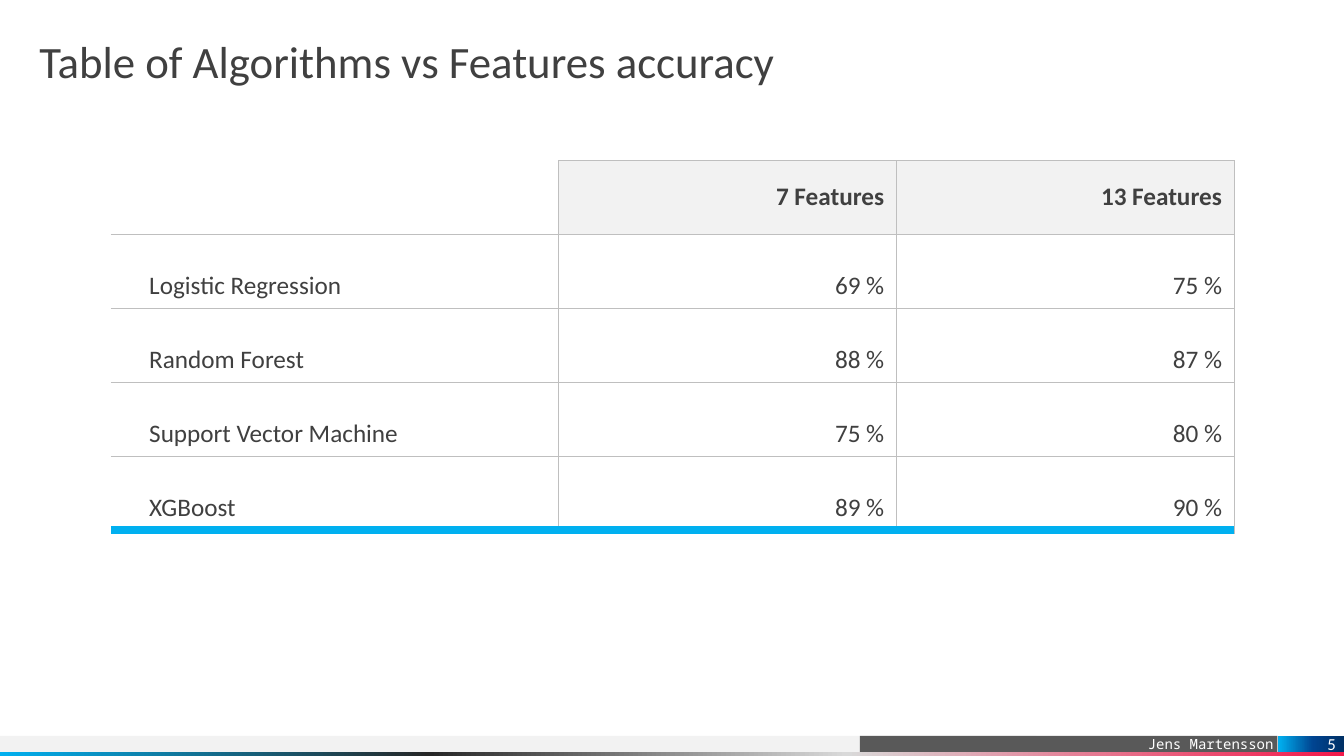
from dataclasses import dataclass

import pptx
import pptx.dml.color
import pptx.enum.shapes
import pptx.enum.text
import pptx.oxml
import pptx.oxml.ns
import pptx.util

EMU_PER_PX = 9144
ALIGN = pptx.enum.text.PP_ALIGN
ANCHOR = pptx.enum.text.MSO_ANCHOR

WHITE = "FFFFFF"
INK = "404040"
PALE = "F2F2F2"
GRID = "BFBFBF"
SKY = "00B0F0"
BODY_FONT = "Calibri"
NO_GRID_STYLE = "{2D5ABB26-0587-4C30-8999-92F81FD0307C}"


@dataclass(frozen=True)
class Bar:
    left: int
    top: int
    width: int
    height: int
    stops: tuple[tuple[int, str], ...]
    text: str = ""
    font: str = BODY_FONT
    size: int = 12
    anchor: ANCHOR = ANCHOR.MIDDLE
    insets: tuple[int, int, int, int] = (0, 0, 0, 0)


@dataclass(frozen=True)
class Accuracy:
    algorithm: str
    seven: int
    thirteen: int


BARS = (
    Bar(-1, 730, 1029, 16, ((0, PALE),)),
    Bar(853, 730, 414, 16, ((0, "595959"),), "Jens Martensson", "Noto Sans Mono", 10,
        ANCHOR.BOTTOM, (10, 0, 4, 0)),
    Bar(-1, 746, 1334, 4, ((0, "F2194A"), (37, "D9D9D9"), (68, "262626"), (100, SKY))),
    Bar(1268, 730, 65, 16, ((0, "003065"), (47, "004490"), (100, SKY)), "5",
        insets=(0, 0, 8, 0)),
)
HEADINGS = ("", "7 Features", "13 Features")
RESULTS = (
    Accuracy("Logistic Regression", 69, 75),
    Accuracy("Random Forest", 88, 87),
    Accuracy("Support Vector Machine", 75, 80),
    Accuracy("XGBoost", 89, 90),
)
COLUMN_WIDTHS = (444, 335, 335)
TABLE_HEIGHT = 367


def px(length: int) -> pptx.util.Emu:
    return pptx.util.Emu(length * EMU_PER_PX)


def colour(value: str) -> pptx.dml.color.RGBColor:
    return pptx.dml.color.RGBColor.from_string(value)


def style_paragraph(paragraph, font: str, size: int, ink: str, align: ALIGN,
                    bold: bool = False) -> None:
    paragraph.alignment = align
    paragraph.font.name = font
    paragraph.font.size = pptx.util.Pt(size)
    paragraph.font.bold = bold
    paragraph.font.color.rgb = colour(ink)


def set_insets(holder, insets: tuple[int, int, int, int]) -> None:
    holder.margin_left, holder.margin_top, holder.margin_right, holder.margin_bottom = map(
        px, insets)


def fill_bar(shape, stops: tuple[tuple[int, str], ...]) -> None:
    if len(stops) == 1:
        shape.fill.solid()
        shape.fill.fore_color.rgb = colour(stops[0][1])
        return
    shape.fill.gradient()
    shape.fill.gradient_angle = 180
    stop_list = shape.element.spPr.find(".//" + pptx.oxml.ns.qn("a:gsLst"))
    for stop in list(stop_list):
        stop_list.remove(stop)
    for percent, value in stops:
        stop_list.append(pptx.oxml.parse_xml(
            f'<a:gs {pptx.oxml.ns.nsdecls("a")} pos="{percent * 1000}">'
            f'<a:srgbClr val="{value}"/></a:gs>'))


def add_bar(slide, bar: Bar) -> None:
    shape = slide.shapes.add_shape(
        pptx.enum.shapes.MSO_SHAPE.RECTANGLE,
        px(bar.left), px(bar.top), px(bar.width), px(bar.height))
    shape.shadow.inherit = False
    shape.line.fill.background()
    fill_bar(shape, bar.stops)
    if bar.text:
        frame = shape.text_frame
        frame.text = bar.text
        frame.vertical_anchor = bar.anchor
        set_insets(frame, bar.insets)
        style_paragraph(frame.paragraphs[0], bar.font, bar.size, WHITE, ALIGN.RIGHT)


def set_borders(cell, borders: dict[str, tuple[str, float]]) -> None:
    properties = cell._tc.get_or_add_tcPr()
    for index, (side, (value, points)) in enumerate(borders.items()):
        properties.insert(index, pptx.oxml.parse_xml(
            f'<a:ln{side} {pptx.oxml.ns.nsdecls("a")} w="{pptx.util.Pt(points)}">'
            f'<a:solidFill><a:srgbClr val="{value}"/></a:solidFill></a:ln{side}>'))


def add_accuracy_table(slide) -> None:
    rows = [HEADINGS] + [
        (result.algorithm, f"{result.seven} %", f"{result.thirteen} %") for result in RESULTS]
    frame = slide.shapes.add_table(
        len(rows), len(HEADINGS), px(110), px(159), px(sum(COLUMN_WIDTHS)), px(TABLE_HEIGHT))
    table = frame.table
    table.first_row = table.horz_banding = False
    table._tbl.tblPr.find(pptx.oxml.ns.qn("a:tableStyleId")).text = NO_GRID_STYLE
    for column, width in zip(table.columns, COLUMN_WIDTHS):
        column.width = px(width)
    for row_index, texts in enumerate(rows):
        table.rows[row_index].height = px(TABLE_HEIGHT) // len(rows)
        is_heading = row_index == 0
        is_last = row_index == len(rows) - 1
        for column_index, text in enumerate(texts):
            is_label = column_index == 0
            cell = table.cell(row_index, column_index)
            cell.text = text
            cell.vertical_anchor = ANCHOR.MIDDLE if is_heading else ANCHOR.BOTTOM
            set_insets(cell, (38 if is_label else 12, 7, 12, 7))
            style_paragraph(cell.text_frame.paragraphs[0], BODY_FONT, 18, INK,
                            ALIGN.LEFT if is_label else ALIGN.RIGHT, is_heading)
            if is_heading and not is_label:
                cell.fill.solid()
                cell.fill.fore_color.rgb = colour(PALE)
            else:
                cell.fill.background()
            borders = dict.fromkeys("LRTB", (GRID, 0.25))
            if is_label:
                del borders["L"]
                if is_heading:
                    del borders["T"]
            if is_last:
                borders["B"] = (SKY, 6)
            set_borders(cell, borders)


def set_title(slide) -> None:
    title = slide.shapes.title
    title.left, title.top, title.width, title.height = map(px, (39, 39, 1255, 59))
    frame = title.text_frame
    frame.text = "Table of Algorithms vs Features accuracy"
    frame.word_wrap = True
    frame.auto_size = pptx.enum.text.MSO_AUTO_SIZE.NONE
    frame.vertical_anchor = ANCHOR.TOP
    set_insets(frame, (0, 0, 0, 0))
    style_paragraph(frame.paragraphs[0], BODY_FONT, 32, INK, ALIGN.LEFT)
    frame.paragraphs[0].line_spacing = 0.9


def main() -> None:
    presentation = pptx.Presentation()
    presentation.slide_width = px(1333)
    presentation.slide_height = px(750)
    slide = presentation.slides.add_slide(presentation.slide_layouts[5])
    set_title(slide)
    for bar in BARS:
        add_bar(slide, bar)
    add_accuracy_table(slide)
    presentation.save("out.pptx")


if __name__ == "__main__":
    main()
